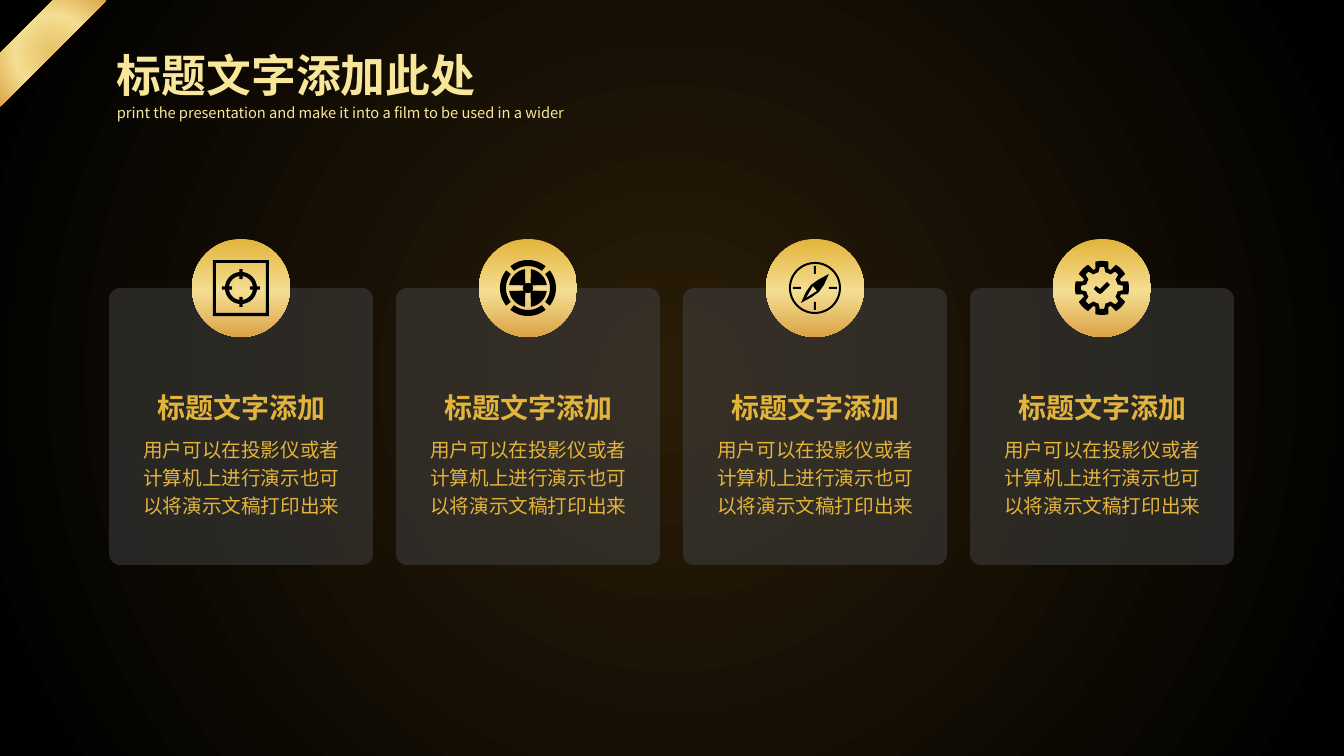
from dataclasses import dataclass
from math import cos, radians, sin

from lxml.etree import SubElement
from pptx import Presentation
from pptx.dml.color import RGBColor as RGB
from pptx.enum.shapes import MSO_SHAPE as Form
from pptx.enum.text import PP_ALIGN as Align
from pptx.oxml import parse_xml
from pptx.oxml.ns import nsdecls, qn
from pptx.util import Pt

SCALE = 914400 / 100.8


@dataclass(frozen=True)
class Theme:
    font: str = "Noto Sans CJK SC"
    gold: str = "E3B43B"
    pale: str = "F8E79A"
    panel: str = "404040"
    ink: str = "000000"
    disc: tuple = ((0, "E3B43B"), (53, "F4DE91"), (100, "DBA347"))
    stripe: tuple = ((0, "E7BF68"), (51, "F4DE91"), (100, "DBA347"))
    glow: tuple = ((0, "2A1D08"), (100, "000000"))
    title: tuple = (32, 41)
    sub: tuple = (10.5, 15)
    head: tuple = (20, 30)
    body: tuple = (14, 20)


LOOK = Theme()


def px(size):
    return round(size * SCALE)


def blend(host, stops, way):
    marks = "".join(
        f'<a:gs pos="{pos * 1000}"><a:srgbClr val="{tone}"/></a:gs>'
        for pos, tone in stops)
    fill = parse_xml(
        f'<a:gradFill {nsdecls("a")} rotWithShape="1">'
        f'<a:gsLst>{marks}</a:gsLst>{way}</a:gradFill>')
    old = next(host.iter(qn("a:solidFill")))
    old.getparent().replace(old, fill)


DOWN = '<a:lin ang="5400000" scaled="0"/>'
ROUND = ('<a:path path="circle"><a:fillToRect l="50000" t="50000" '
         'r="50000" b="50000"/></a:path>')


def plain(shape, tone):
    shape.shadow.inherit = False
    shape.fill.solid()
    shape.fill.fore_color.rgb = RGB.from_string(tone)
    shape.line.fill.background()
    return shape


def block(slide, form, box, tone):
    return plain(slide.shapes.add_shape(form, *map(px, box)), tone)


def write(slide, box, text, style, tone, bold=False, align=Align.LEFT):
    size, lead = style
    frame = slide.shapes.add_textbox(*map(px, box)).text_frame
    frame.word_wrap = True
    para = frame.paragraphs[0]
    para.alignment = align
    para.line_spacing = Pt(lead)
    run = para.add_run()
    run.text = text
    run.font.size = Pt(size)
    run.font.bold = bold
    run.font.name = LOOK.font
    run.font.color.rgb = RGB.from_string(tone)
    SubElement(run.font._element, qn("a:ea")).set("typeface", LOOK.font)


def arc(rad, start, stop):
    steps = max(2, round(abs(stop - start) / 4))
    angles = (radians(start + (stop - start) * i / steps)
              for i in range(steps + 1))
    return [(rad * cos(a), rad * sin(a)) for a in angles]


def cog(count, base, tip, foot, top):
    pitch = 360 / count
    dots = []
    for i in range(count):
        mid = i * pitch
        dots += arc(tip, mid - top, mid + top)
        dots += arc(base, mid + foot, mid + pitch - foot)
    return dots


def ring(rad):
    return arc(rad, 0, 360)


def rect(x, y, wide, high):
    return [(x, y), (x + wide, y), (x + wide, y + high), (x, y + high)]


def target():
    return [rect(-28, -28, 56, 56), rect(-25, -25, 50, 50),
            cog(4, 16, 19, 6, 5), cog(4, 12, 9, 8, 11)]


def wheel():
    bands = [arc(28, mid - 39, mid + 39) + arc(22, mid + 39, mid - 39)
             for mid in range(0, 360, 90)]
    return bands + [cog(4, 19, 5, 9, 32)]


def compass():
    ticks = [rect(-1, -22, 2, 8), rect(-1, 14, 2, 8),
             rect(-22, -1, 8, 2), rect(14, -1, 8, 2)]
    needle = [(14, -14), (9, -3), (4, 4), (-3, 9),
              (-14, 15), (-9, 4), (-4, -3), (3, -8)]
    notch = [(-2, -2), (-9, 10), (2, 3)]
    return [ring(26), ring(24), needle, notch] + ticks


def gear():
    check = [(5, -6), (8, -3), (0, 5), (-2, 6), (-4, 5),
             (-8, 1), (-6, -2), (-2, 1)]
    return [cog(8, 20, 27, 19, 14), cog(8, 16, 21, 13, 6), check]


def icon(slide, x, y, loops):
    paths = [[(px(x + a), px(y + b)) for a, b in loop] for loop in loops]
    pen = slide.shapes.build_freeform(*paths[0][0], scale=1.0)
    for i, dots in enumerate(paths):
        if i:
            pen.move_to(*dots[0])
        pen.add_line_segments(dots[1:], close=True)
    plain(pen.convert_to_shape(), LOOK.ink)


def card(slide, box, head, body, loops):
    x, y, wide, high = box
    panel = block(slide, Form.ROUNDED_RECTANGLE, box, LOOK.panel)
    panel.adjustments[0] = 0.042
    tone = next(panel._element.iter(qn("a:srgbClr")))
    SubElement(tone, qn("a:alpha")).set("val", "55000")
    write(slide, (x + 24, y + 140, wide - 47, 96), body,
          LOOK.body, LOOK.gold, align=Align.CENTER)
    write(slide, (x + 9, y + 89, wide - 17, 47), head,
          LOOK.head, LOOK.gold, True, Align.CENTER)
    mid, rad = x + wide // 2, 49
    disc = block(slide, Form.OVAL,
                 (mid - rad, y - rad, 2 * rad, 2 * rad), LOOK.gold)
    blend(disc._element, LOOK.disc, DOWN)
    icon(slide, mid, y, loops)


def header(slide, box, title, sub):
    x, y, wide, high = box
    write(slide, (x, y, wide, 65), title, LOOK.title, LOOK.pale, True)
    write(slide, (x, y + 57, wide, high - 57), sub, LOOK.sub, LOOK.pale)


def corner(slide, box):
    stripe = block(slide, Form.DIAGONAL_STRIPE, box, LOOK.gold)
    blend(stripe._element, LOOK.stripe, ROUND)


def main():
    deck = Presentation()
    deck.slide_width, deck.slide_height = px(1344), px(756)
    slide = deck.slides.add_slide(deck.slide_layouts[6])
    slide.background.fill.solid()
    slide.background.fill.fore_color.rgb = RGB.from_string(LOOK.ink)
    blend(slide._element, LOOK.glow, ROUND)
    for i, draw in enumerate((target, wheel, compass, gear)):
        card(slide, (109 + 287 * i, 288, 264, 277), "标题文字添加",
             "用户可以在投影仪或者计算机上进行演示也可以将演示文稿打印出来", draw())
    corner(slide, (0, 0, 107, 107))
    header(slide, (107, 39, 524, 87), "标题文字添加此处",
           "print the presentation and make it into a film to be used in a wider")
    deck.save("out.pptx")


if __name__ == "__main__":
    main()
